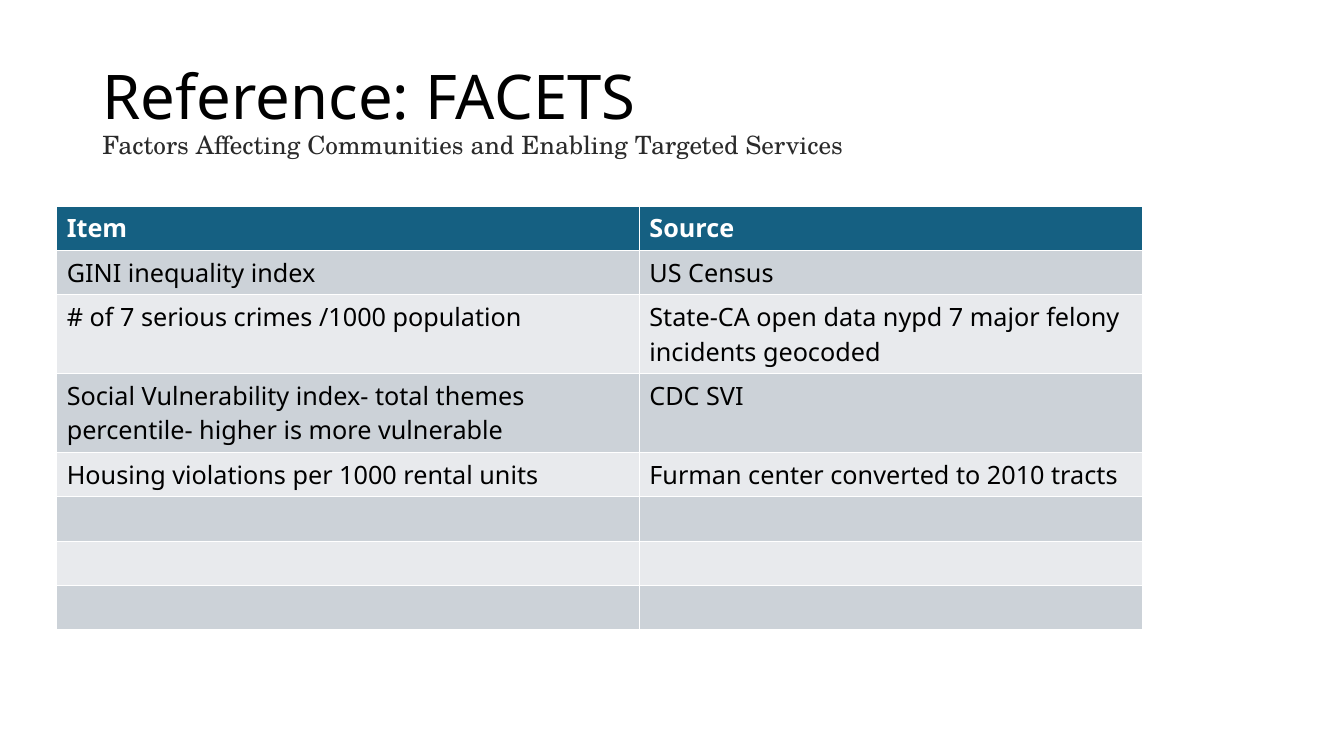
from dataclasses import dataclass
from typing import NamedTuple

from pptx import Presentation
from pptx.dml.color import RGBColor as Color
from pptx.enum.text import MSO_ANCHOR as Anchor, MSO_AUTO_SIZE as Fit, PP_ALIGN as Align
from pptx.slide import Slide
from pptx.util import Pt


class Face(NamedTuple):
    font: str
    size: float
    color: str
    bold: bool = False


@dataclass(frozen=True)
class Theme:
    title: Face = Face("Noto Sans", 44, "000000")
    sub: Face = Face("TeX Gyre Schola", 18, "2A2A2A")
    head: Face = Face("Noto Sans", 18, "FFFFFF", True)
    cell: Face = Face("Noto Sans", 18, "000000")
    top: str = "156082"
    bands: tuple[str, str] = ("E8EAED", "CCD2D8")


class Box(NamedTuple):
    left: float
    top: float
    width: float
    height: float


class Entry(NamedTuple):
    item: str = ""
    source: str = ""


THEME = Theme()
TITLE = Box(66, 28.75, 828, 104.4)
GRID = Box(40.5, 147.1, 775.5, 254)
COLS = (416.2, 359.3)
ROWS = [
    Entry("Item", "Source"),
    Entry("GINI inequality index", "US Census"),
    Entry("# of 7 serious crimes /1000 population",
          "State-CA open data nypd 7 major felony incidents geocoded"),
    Entry("Social Vulnerability index- total themes percentile- higher is more vulnerable",
          "CDC SVI"),
    Entry("Housing violations per 1000 rental units",
          "Furman center converted to 2010 tracts"),
    *[Entry()] * 3,
]


def style(run, face: Face) -> None:
    run.font.name = face.font
    run.font.size = Pt(face.size)
    run.font.bold = face.bold
    run.font.color.rgb = Color.from_string(face.color)


def add_title(slide: Slide, box: Box) -> None:
    title = slide.shapes.title
    title.left, title.top, title.width, title.height = map(Pt, box)
    frame = title.text_frame
    frame.text = ("Reference: FACETS \v"
                  "Factors Affecting Communities and Enabling Targeted Services")
    frame.auto_size = Fit.NONE
    frame.vertical_anchor = Anchor.MIDDLE
    para = frame.paragraphs[0]
    para.alignment = Align.LEFT
    para.line_spacing = 0.9
    for run, face in zip(para.runs, (THEME.title, THEME.sub)):
        style(run, face)


def add_grid(slide: Slide, box: Box, rows: list[Entry]) -> None:
    table = slide.shapes.add_table(len(rows), len(COLS), *map(Pt, box)).table
    for col, width in zip(table.columns, COLS):
        col.width = Pt(width)
    for r, entry in enumerate(rows):
        table.rows[r].height = Pt(box.height / len(rows))
        face = THEME.cell if r else THEME.head
        fill = THEME.bands[r % 2] if r else THEME.top
        for c, text in enumerate(entry):
            cell = table.cell(r, c)
            cell.fill.solid()
            cell.fill.fore_color.rgb = Color.from_string(fill)
            cell.text_frame.text = text
            for run in cell.text_frame.paragraphs[0].runs:
                style(run, face)


def main() -> None:
    deck = Presentation()
    deck.slide_width, deck.slide_height = Pt(960), Pt(540)
    slide = deck.slides.add_slide(deck.slide_layouts[5])
    add_title(slide, TITLE)
    add_grid(slide, GRID, ROWS)
    deck.save("out.pptx")


if __name__ == "__main__":
    main()
